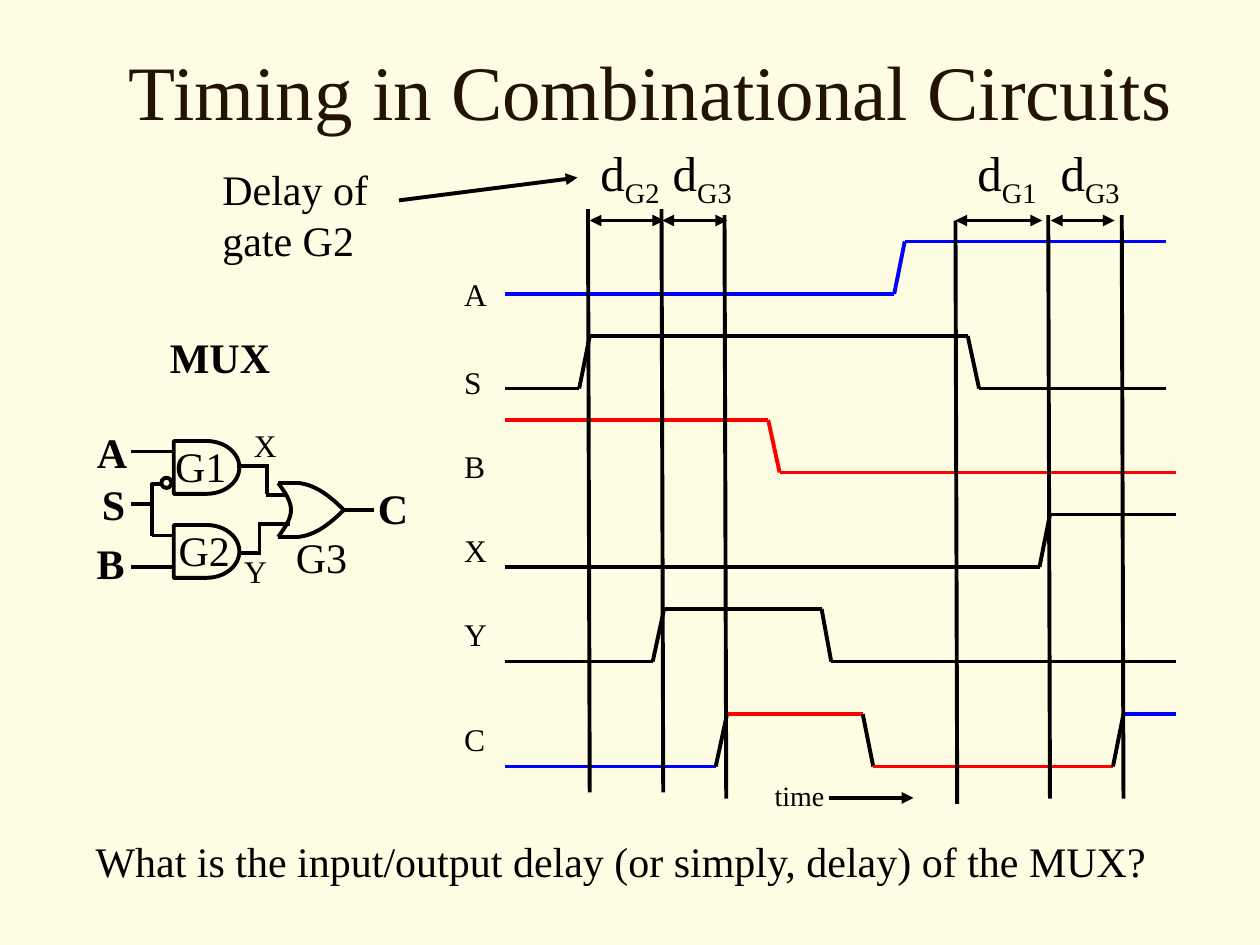
import pptx
import pptx.dml.color
import pptx.enum.shapes
import pptx.enum.text
import pptx.oxml
import pptx.util
from dataclasses import dataclass

Pt = pptx.util.Pt
RGBColor = pptx.dml.color.RGBColor
SHAPE = pptx.enum.shapes.MSO_SHAPE
ALIGN = pptx.enum.text.PP_ALIGN
ANCHOR = pptx.enum.text.MSO_ANCHOR
AUTO_SIZE = pptx.enum.text.MSO_AUTO_SIZE


@dataclass(frozen=True)
class Theme:
    font: str = "Times New Roman"
    background: str = "FEFDE3"
    title_color: str = "221304"
    black: str = "000000"
    blue: str = "0000FF"
    red: str = "FF0000"
    title: float = 44
    delay: float = 28
    body: float = 24
    signal: float = 18
    time: float = 16
    line: float = 2.25


THEME = Theme()
WAVE_START = 288.5
WAVE_RISE = 30
SIGNAL_LABEL_LEFT = 258.2


def set_format(target, values):
    for name, value in values.items():
        setattr(target, name, value)


def add_text(shapes, box, text, size, color=THEME.black, bold=False,
             align=ALIGN.LEFT, wrap=False, anchor=ANCHOR.TOP, subscript=""):
    frame = shapes.add_textbox(*map(Pt, box)).text_frame
    set_format(frame, {
        "word_wrap": wrap, "vertical_anchor": anchor,
        "auto_size": AUTO_SIZE.NONE if anchor == ANCHOR.MIDDLE else AUTO_SIZE.SHAPE_TO_FIT_TEXT,
    })
    paragraph = frame.paragraphs[0]
    paragraph.alignment = align
    for content, baseline in ((text, None), (subscript, "-25000")):
        if not content:
            continue
        run = paragraph.add_run()
        run.text = content
        set_format(run.font, {"name": THEME.font, "size": Pt(size), "bold": bold})
        run.font.color.rgb = RGBColor.from_string(color)
        if baseline:
            run.font._element.set("baseline", baseline)


def set_line(shape, color=THEME.black):
    shape.line.color.rgb = RGBColor.from_string(color)
    shape.line.width = Pt(THEME.line)


def add_line(shapes, start, end, color=THEME.black, arrows=()):
    connector = shapes.add_connector(
        pptx.enum.shapes.MSO_CONNECTOR.STRAIGHT, *map(Pt, (*start, *end)))
    set_line(connector, color)
    properties = connector._element.spPr
    for arrow in arrows:
        element = pptx.oxml.parse_xml(
            f'<a:{arrow} xmlns:a="http://schemas.openxmlformats.org/drawingml/2006/main" type="triangle"/>')
        properties.get_or_add_ln().append(element)
    properties.append(pptx.oxml.parse_xml(
        '<a:effectLst xmlns:a="http://schemas.openxmlformats.org/drawingml/2006/main"/>'))


def add_outline(shapes, kind, box):
    shape = shapes.add_shape(kind, *map(Pt, box))
    shape.shadow.inherit = False
    shape.fill.background()
    set_line(shape)


def add_curve(shapes, points, steps=16):
    def position(t):
        weights = ((1 - t) ** 3, 3 * t * (1 - t) ** 2, 3 * t * t * (1 - t), t ** 3)
        return tuple(sum(w * p[axis] for w, p in zip(weights, points)) for axis in (0, 1))

    vertices = [tuple(map(Pt, position(i / steps))) for i in range(steps + 1)]
    builder = shapes.build_freeform(*vertices[0], scale=1.0)
    builder.add_line_segments(vertices[1:], close=False)
    shape = builder.convert_to_shape()
    shape.shadow.inherit = False
    shape.fill.background()
    set_line(shape)


def add_wave(shapes, low, starts_high, times, colors, ramp_color):
    xs = [WAVE_START, *times]
    high = starts_high
    for index, (left, right) in enumerate(zip(xs, xs[1:])):
        is_ramp = index % 2 == 1
        y = low - WAVE_RISE * high
        if is_ramp:
            high = not high
        color = ramp_color if is_ramp else colors[index // 2 % len(colors)]
        add_line(shapes, (left, y), (right, low - WAVE_RISE * high), color)


def add_mux(slide):
    shapes = slide.shapes.add_group_shape().shapes
    add_outline(shapes, SHAPE.OVAL, (92.2, 273, 5.8, 5.8))
    for top in (252, 300):
        add_outline(shapes, SHAPE.FLOWCHART_DELAY, (99.3, top, 37.5, 30.2))
    wires = [
        (75, 324, 99.3, 324), (75, 258, 99.3, 258), (75, 288, 87, 288),
        (87, 276, 87, 306), (87, 306, 99.3, 306), (86.4, 276.4, 92.2, 276.4),
        (137.5, 316, 149, 316), (148.3, 315.5, 148.3, 299.5), (147.6, 299.5, 165.6, 299.5),
        (135.4, 266.4, 154, 266.4), (152.6, 266.4, 152.6, 282.4), (152, 283, 164.2, 283),
        (159, 276, 170.6, 276), (159, 306.7, 170.6, 306.7), (195.8, 291.6, 214, 291.6),
    ]
    for x1, y1, x2, y2 in wires:
        add_line(shapes, (x1, y1), (x2, y2))
    middle, reach = 291.4, 15.4
    for side in (-1, 1):
        edge = middle + side * reach
        add_curve(shapes, [(170.6, edge), (180, edge - side), (188, middle + side * 8.5), (196.5, middle)])
        add_curve(shapes, [(159, edge), (163, middle + side * 10), (166.3, middle + side * 5), (166.3, middle)])
    for name, left, top, width in (("A", 48.2, 240, 31.7), ("S", 51.1, 270, 27.4),
                                   ("B", 48.2, 303.4, 30.2), ("C", 208.8, 272, 31.7)):
        add_text(shapes, (left, top, width, 36), name, THEME.body, bold=True, align=ALIGN.CENTER)


def add_mux_labels(shapes):
    add_text(shapes, (90, 186, 78, 36), "MUX", THEME.body, bold=True)
    for name, left, top in (("X", 138, 240), ("Y", 132.5, 312)):
        add_text(shapes, (left, top, 28, 29), name, THEME.signal)
    for name, left, top in (("G1", 93, 248.4), ("G2", 95, 296), ("G3", 162, 300)):
        add_text(shapes, (left, top, 46, 36), name, THEME.body)


def add_timing_diagram(shapes):
    black, blue, red = THEME.black, THEME.blue, THEME.red
    signals = [
        ("A", 153.5, 168, False, (511, 517, 666), (blue,), blue),
        ("S", 204, 222, False, (331, 337, 553, 559.5, 666), (black,), black),
        ("B", 252, 270, True, (439, 445.5, 672), (red,), red),
        ("X", 300, 324, False, (594, 600, 672), (black,), black),
        ("Y", 348, 378, False, (373, 379.5, 469.5, 475, 672), (black,), black),
        ("C", 408, 438, False, (409, 415.5, 493, 499, 636, 642, 672), (blue, red, red, blue), black),
    ]
    for name, top, *wave in signals:
        add_text(shapes, (SIGNAL_LABEL_LEFT, top, 28, 29), name, THEME.signal)
        add_wave(shapes, *wave)
    for x, top in ((336, 119.5), (378, 119.5), (414, 123), (546, 126), (599, 123), (641, 123)):
        add_line(shapes, (x, top), (x + 1, top + 333.3))
    for gate, left, start, end in (("G2", 336, 337, 379.5), ("G3", 377.3, 378.5, 415.5),
                                   ("G1", 551.5, 546, 595.5), ("G3", 599, 600.5, 637)):
        add_text(shapes, (left, 78, 50, 45.4), "d", THEME.delay, subscript=gate)
        add_line(shapes, (start, 126), (end, 126), arrows=("headEnd", "tailEnd"))
    add_text(shapes, (435.6, 441.4, 50, 26.6), "time", THEME.time)
    add_line(shapes, (474, 456), (522, 456), arrows=("tailEnd",))


def main():
    presentation = pptx.Presentation()
    set_format(presentation, {"slide_width": Pt(720), "slide_height": Pt(540)})
    slide = presentation.slides.add_slide(presentation.slide_layouts[6])
    slide.background.fill.solid()
    slide.background.fill.fore_color.rgb = RGBColor.from_string(THEME.background)
    shapes = slide.shapes
    add_text(shapes, (60, 6, 624, 90), "Timing in Combinational Circuits", THEME.title,
             THEME.title_color, align=ALIGN.CENTER, wrap=True, anchor=ANCHOR.MIDDLE)
    add_mux(slide)
    add_mux_labels(shapes)
    add_timing_diagram(shapes)
    add_text(shapes, (120, 90, 127.4, 65), "Delay of gate G2", THEME.body, wrap=True)
    add_line(shapes, (228, 114.5), (330, 101.5), arrows=("tailEnd",))
    add_text(shapes, (47.5, 474, 622, 36),
             "What is the input/output delay (or simply, delay) of the MUX?", THEME.body)
    presentation.save("out.pptx")


if __name__ == "__main__":
    main()
